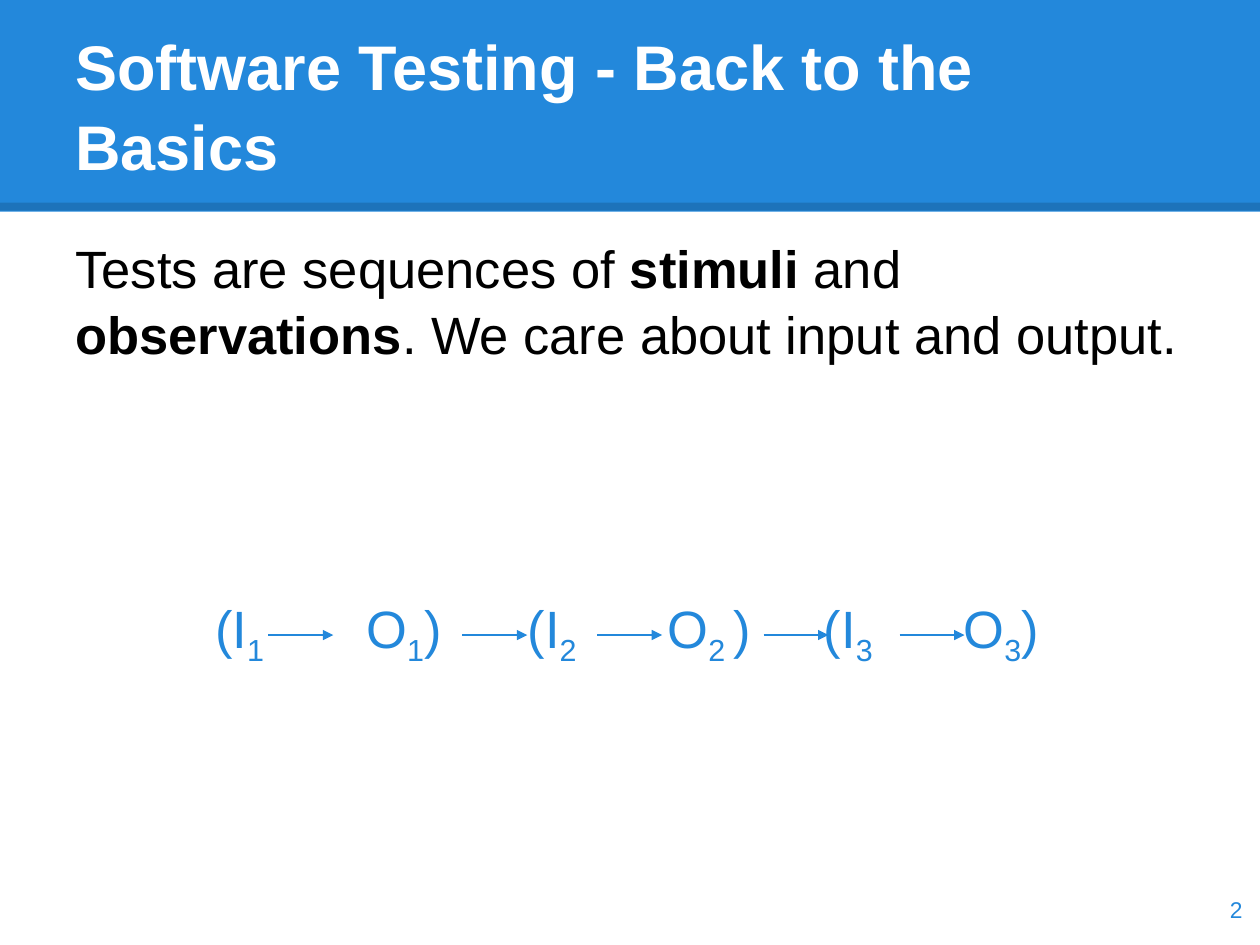
from lxml import etree
from pptx import Presentation
from pptx.dml.color import RGBColor
from pptx.enum import shapes, text
from pptx.oxml import ns
from pptx.util import Inches, Pt

BLUE = "2388DB"
ARROWS = [2.13, 3.67, 4.74, 6.06, 7.14]
TABS = [1.2, 2.48, 3.59, 4.83, 5.94]
TERMS = ["(I", "1", "\tO", "1", ")\t(I", "2", "\tO", "2 ", ")\t(I", "3", "\tO", "3", ")"]


def color(code):
    """Turn a hex string into a colour."""
    return RGBColor.from_string(code)


def child(node, tag, **attrs):
    """Append a drawing element to a node."""
    return etree.SubElement(node, ns.qn(tag), attrs)


def add_text(slide, area, runs, style, anchor="TOP", align="LEFT", tabs=()):
    """Add a one-paragraph text box; each run is its words and its format."""
    box = slide.shapes.add_textbox(*map(Inches, area))
    frame = box.text_frame
    edges = ("left", "top", "right", "bottom")
    values = {f"margin_{edge}": Inches(0.1) for edge in edges}
    values |= {"word_wrap": True, "vertical_anchor": getattr(text.MSO_ANCHOR, anchor)}
    for name, value in values.items():
        setattr(frame, name, value)
    para = frame.paragraphs[0]
    para.alignment = getattr(text.PP_ALIGN, align)
    para.line_spacing = 1.05
    if tabs:
        stops = child(para._p.get_or_add_pPr(), "a:tabLst")
        for stop in tabs:
            child(stops, "a:tab", pos=str(Inches(stop)), algn="l")
    for words, extra in runs:
        add_run(para, words, style | extra)


def add_run(para, words, style):
    """Add a run with size, hue, weight and an optional baseline shift."""
    run = para.add_run()
    run.text = words
    values = {"name": "Arial", "size": Pt(style["size"]), "bold": style.get("bold", False)}
    for name, value in values.items():
        setattr(run.font, name, value)
    run.font.color.rgb = color(style["hue"])
    if "shift" in style:
        run.font._element.set("baseline", str(style["shift"]))


def add_line(slide, left, right, top, hue, width):
    """Add a level line without a shadow."""
    ends = map(Inches, (left, top, right, top))
    line = slide.shapes.add_connector(shapes.MSO_CONNECTOR.STRAIGHT, *ends)
    line.line.color.rgb = color(hue)
    line.line.width = Pt(width)
    child(line._element.spPr, "a:effectLst")
    return line


def add_arrow(slide, left):
    """Add a short arrow between two terms."""
    arrow = add_line(slide, left, left + 0.515, 5.04, BLUE, 1.5)
    child(arrow.line._get_or_add_ln(), "a:tailEnd", type="triangle")


def add_banner(slide):
    """Add the title band and its darker lower edge."""
    band = slide.shapes.add_shape(shapes.MSO_SHAPE.RECTANGLE, 0, 0, Inches(10), Inches(1.68))
    band.shadow.inherit = False
    band.fill.solid()
    band.fill.fore_color.rgb = color(BLUE)
    band.line.fill.background()
    edge = add_line(slide, 0, 10, 1.64, "000000", 4.5)
    tint = edge.line._get_or_add_ln().find(".//" + ns.qn("a:srgbClr"))
    child(tint, "a:alpha", val="15000")


def main():
    """Build the slide and save it."""
    deck = Presentation()
    deck.slide_width, deck.slide_height = Inches(10), Inches(7.5)
    slide = deck.slides.add_slide(deck.slide_layouts[6])
    add_banner(slide)
    add_text(slide, (0.5, 0.3, 9, 1.25), [("Software Testing - Back to the Basics", {})],
             {"size": 36, "hue": "FFFFFF", "bold": True}, anchor="BOTTOM")
    strong = {"bold": True}
    body = [("Tests are sequences of ", {}), ("stimuli ", strong), ("and ", {}),
            ("observations", strong), (". We care about input and output.", {})]
    add_text(slide, (0.5, 1.75, 9, 1.3), body, {"size": 30, "hue": "000000"})
    terms = [(term, {"shift": -25000} if term.strip().isdigit() else {}) for term in TERMS]
    add_text(slide, (1.61, 4.6, 7, 0.75), terms, {"size": 30, "hue": BLUE}, tabs=TABS)
    for left in ARROWS:
        add_arrow(slide, left)
    add_text(slide, (9.36, 6.93, 0.6, 0.57), [("2", {})], {"size": 13, "hue": BLUE},
             anchor="MIDDLE", align="RIGHT")
    deck.save("out.pptx")


if __name__ == "__main__":
    main()
